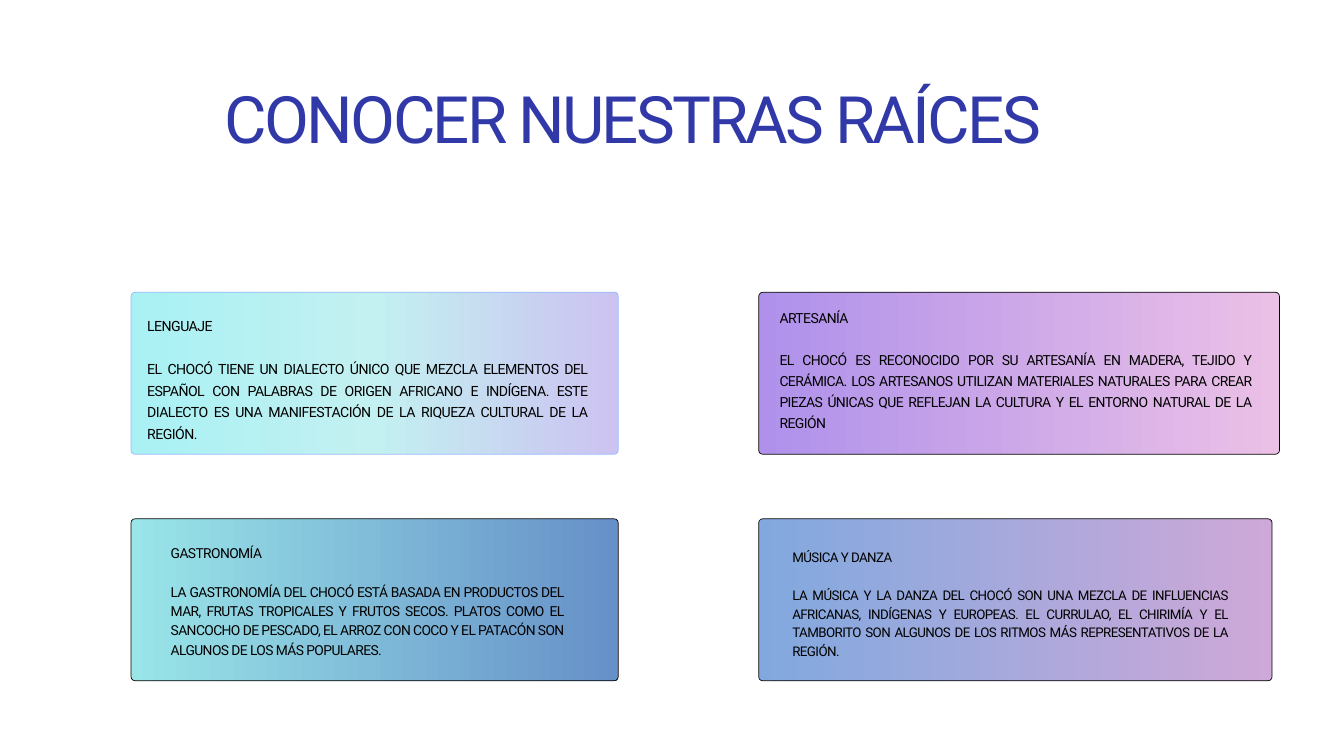
"""Build the slide on the roots of Chocó: a title over four gradient cards."""
from copy import deepcopy
from dataclasses import dataclass

from pptx import Presentation
from pptx.dml.color import RGBColor
from pptx.enum.shapes import MSO_SHAPE
from pptx.enum.text import PP_ALIGN
from pptx.oxml.ns import qn
from pptx.util import Inches, Pt

ROUNDED = MSO_SHAPE.ROUNDED_RECTANGLE
CENTER, JUSTIFY = PP_ALIGN.CENTER, PP_ALIGN.JUSTIFY
COLS, ROWS = 20, 11.25
LEFT, RIGHT, TOP, BOTTOM = 1.95, 11.29, 4.35, 7.72
CARD_H, RADIUS = 2.41, 0.06


@dataclass(frozen=True)
class Theme:
    font: str = "Roboto"
    title: str = "3139A8"
    ink: str = "000000"
    sky: str = "94B9FF"
    title_size: float = 70
    title_leading: float = 76.3
    title_tracking: float = -2.9
    body_tracking: float = -0.6
    line_width: float = 0.75
    aqua: tuple = ("A9F1F4", "C3F0F1", "CCC3F1")
    violet: tuple = ("AF91EB", "EBC0E6")
    teal: tuple = ("99E5E8", "6690C8")
    blue: tuple = ("81A9DF", "CEA8D8")


class Deck:
    def __init__(self, theme):
        self.theme = theme
        self.prs = Presentation()
        self.prs.slide_width, self.prs.slide_height = Inches(COLS), Inches(ROWS)
        self.s = self.prs.slides.add_slide(self.prs.slide_layouts[6])

    def place(self, col, row, cols, rows):
        w, h = self.prs.slide_width, self.prs.slide_height
        return (int(col / COLS * w), int(row / ROWS * h),
                int(cols / COLS * w), int(rows / ROWS * h))

    def card(self, col, row, cols, colors, line):
        sp = self.s.shapes.add_shape(ROUNDED, *self.place(col, row, cols, CARD_H))
        sp.adjustments[0] = RADIUS / CARD_H
        sp.shadow.inherit = False
        sp.fill.gradient()
        sp.fill.gradient_angle = 0
        stops = sp._element.spPr.find(qn("a:gradFill")).find(qn("a:gsLst"))
        for _ in colors[2:]:
            stops.append(deepcopy(stops[0]))
        for i, (stop, color) in enumerate(zip(sp.fill.gradient_stops, colors)):
            stop.position = i / (len(colors) - 1)
            stop.color.rgb = RGBColor.from_string(color)
        sp.line.color.rgb = RGBColor.from_string(line)
        sp.line.width = Pt(self.theme.line_width)

    def text(self, box, lines, size, leading, color, tracking, align):
        tf = self.s.shapes.add_textbox(*self.place(*box)).text_frame
        tf.word_wrap = True
        tf.margin_left = tf.margin_right = tf.margin_top = tf.margin_bottom = 0
        for i, line in enumerate(lines):
            p = tf.add_paragraph() if i else tf.paragraphs[0]
            p.alignment = align
            p.line_spacing = Pt(leading)
            p.space_before = Pt(leading if i else 0)
            p.font.name, p.font.size = self.theme.font, Pt(size)
            p.font.color.rgb = RGBColor.from_string(color)
            r = p.add_run()
            r.text = line
            r._r.get_or_add_rPr().set("spc", str(round(tracking * 100)))

    def title(self, box, text):
        t = self.theme
        self.text(box, [text], t.title_size, t.title_leading, t.title,
                  t.title_tracking, CENTER)

    def body(self, box, heading, text, size, leading):
        t = self.theme
        self.text(box, [heading, text], size, leading, t.ink,
                  t.body_tracking, JUSTIFY)


def main():
    theme = Theme()
    deck = Deck(theme)
    deck.title((1.12, 1.27, 16.6, 1.09), "CONOCER NUESTRAS RAÍCES")
    cards = [
        (RIGHT, TOP, 7.75, theme.violet, theme.ink),
        (RIGHT, BOTTOM, 7.64, theme.blue, theme.ink),
        (LEFT, BOTTOM, 7.25, theme.teal, theme.ink),
        (LEFT, TOP, 7.25, theme.aqua, theme.sky),
    ]
    for card in cards:
        deck.card(*card)
    topics = [
        ((2.19, 4.66, 6.55, 1.84), "LENGUAJE",
         "EL CHOCÓ TIENE UN DIALECTO ÚNICO QUE MEZCLA ELEMENTOS DEL ESPAÑOL "
         "CON PALABRAS DE ORIGEN AFRICANO E INDÍGENA. ESTE DIALECTO ES UNA "
         "MANIFESTACIÓN DE LA RIQUEZA CULTURAL DE LA REGIÓN.", 15.1, 23),
        ((2.54, 8.06, 5.85, 1.7), "GASTRONOMÍA",
         "LA GASTRONOMÍA DEL CHOCÓ ESTÁ BASADA EN PRODUCTOS DEL MAR, FRUTAS "
         "TROPICALES Y FRUTOS SECOS. PLATOS COMO EL SANCOCHO DE PESCADO, EL "
         "ARROZ CON COCO Y EL PATACÓN SON ALGUNOS DE LOS MÁS POPULARES.",
         14.8, 20.8),
        ((11.6, 4.55, 7.02, 1.85), "ARTESANÍA",
         "EL CHOCÓ ES RECONOCIDO POR SU ARTESANÍA EN MADERA, TEJIDO Y CERÁMICA. "
         "LOS ARTESANOS UTILIZAN MATERIALES NATURALES PARA CREAR PIEZAS ÚNICAS "
         "QUE REFLEJAN LA CULTURA Y EL ENTORNO NATURAL DE LA REGIÓN", 14.9, 22.4),
        ((11.79, 8.14, 6.49, 1.66), "MÚSICA Y DANZA",
         "LA MÚSICA Y LA DANZA DEL CHOCÓ SON UNA MEZCLA DE INFLUENCIAS "
         "AFRICANAS, INDÍGENAS Y EUROPEAS. EL CURRULAO, EL CHIRIMÍA Y EL "
         "TAMBORITO SON ALGUNOS DE LOS RITMOS MÁS REPRESENTATIVOS DE LA REGIÓN.",
         14.3, 20),
    ]
    for topic in topics:
        deck.body(*topic)
    deck.prs.save("out.pptx")


if __name__ == "__main__":
    main()
